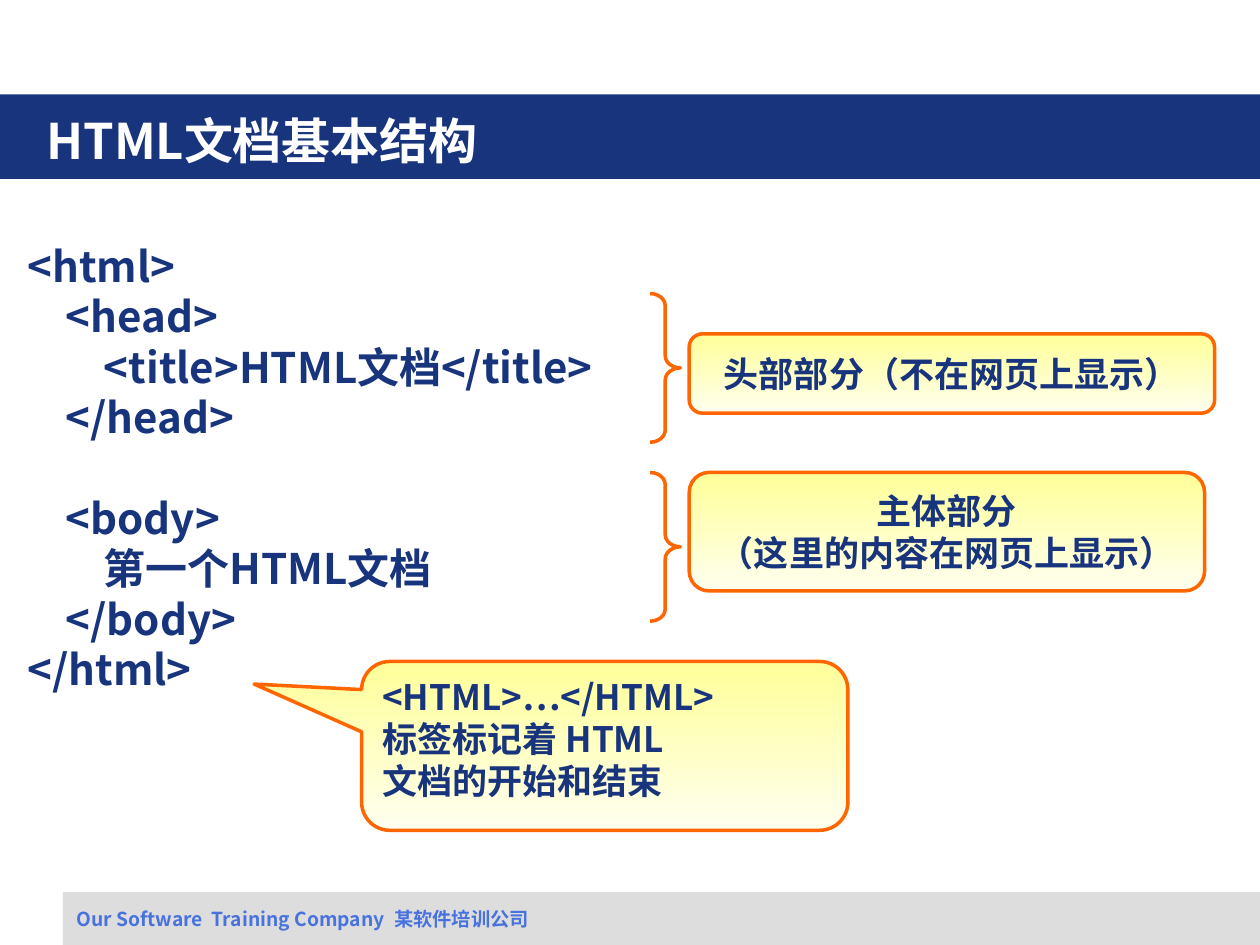
"""Build the slide on the basic structure of an HTML document."""
from dataclasses import dataclass

from lxml.etree import SubElement
from pptx import Presentation
from pptx.dml.color import RGBColor
from pptx.enum.shapes import MSO_SHAPE
from pptx.enum.text import MSO_ANCHOR, PP_ALIGN
from pptx.oxml.ns import qn
from pptx.util import Inches, Pt


@dataclass(frozen=True)
class Theme:
    navy: str = "17347D"
    white: str = "FFFFFF"
    grey: str = "DDDDDD"
    blue: str = "4872DD"
    orange: str = "FF6600"
    yellow: str = "FFFF99"
    cream: str = "FFFFEF"
    font: str = "Noto Sans CJK SC"
    label_font: str = "Arial"
    title_size: int = 28
    code_size: int = 24
    note_size: int = 20
    footer_size: int = 11
    outline: int = 2


THEME = Theme()
CODE = """<html>
    <head>
        <title>HTML文档</title>
    </head>
    <body>
        第一个HTML文档
    </body>
</html>"""


def rgb(value):
    return RGBColor.from_string(value)


def write(frame, text, size, color, font=THEME.font, align=PP_ALIGN.LEFT,
          anchor=MSO_ANCHOR.TOP, wrap=True):
    frame.text = text
    frame.word_wrap = wrap
    frame.vertical_anchor = anchor
    for paragraph in frame.paragraphs:
        paragraph.alignment = align
        for run in paragraph.runs:
            run.font.size = Pt(size)
            run.font.bold = True
            run.font.name = font
            run.font.color.rgb = rgb(color)
            east_asian = SubElement(run.font._element, qn("a:ea"))
            east_asian.set("typeface", THEME.font)


def add_text(slide, box, text, size, color, **layout):
    frame = slide.shapes.add_textbox(*map(Inches, box)).text_frame
    write(frame, text, size, color, **layout)
    return frame


def add_preset(slide, preset, box, adjustments=()):
    shape = slide.shapes.add_shape(preset, *map(Inches, box))
    shape.shadow.inherit = False
    for index, value in enumerate(adjustments):
        shape.adjustments[index] = value
    return shape


def add_band(slide, box, color):
    band = add_preset(slide, MSO_SHAPE.RECTANGLE, box)
    band.fill.solid()
    band.fill.fore_color.rgb = rgb(color)
    band.line.fill.background()


def set_outline(shape):
    shape.line.color.rgb = rgb(THEME.orange)
    shape.line.width = Pt(THEME.outline)


def add_brace(slide, top):
    brace = add_preset(slide, MSO_SHAPE.RIGHT_BRACE, (5.16, top, 0.24, 1.18), (0.4, 0.5))
    brace.fill.background()
    set_outline(brace)


def add_note(slide, preset, box, adjustments, text, **layout):
    note = add_preset(slide, preset, box, adjustments)
    note.fill.gradient()
    note.fill.gradient_angle = 270
    for stop, color, position in zip(note.fill.gradient_stops, (THEME.yellow, THEME.cream), (0, 1)):
        stop.color.rgb = rgb(color)
        stop.position = position
    set_outline(note)
    write(note.text_frame, text, THEME.note_size, THEME.navy, **layout)


def add_section(slide, top, box, text):
    add_brace(slide, top)
    add_note(slide, MSO_SHAPE.ROUNDED_RECTANGLE, box, (0.167,), text, font=THEME.label_font,
             align=PP_ALIGN.CENTER, anchor=MSO_ANCHOR.MIDDLE, wrap=False)


def main():
    deck = Presentation()
    deck.slide_width, deck.slide_height = Inches(10), Inches(7.5)
    slide = deck.slides.add_slide(deck.slide_layouts[6])

    add_band(slide, (0.5, 7.08, 9.5, 0.42), THEME.grey)
    add_band(slide, (0, 0.75, 10, 0.67), THEME.navy)
    add_text(slide, (0.27, 0.8, 8.26, 0.62), "HTML文档基本结构",
             THEME.title_size, THEME.white, anchor=MSO_ANCHOR.MIDDLE)
    add_text(slide, (0.51, 7.15, 9.13, 0.29), "Our Software  Training Company  某软件培训公司",
             THEME.footer_size, THEME.blue)

    code = add_text(slide, (0.12, 1.86, 9.29, 3.89), CODE, THEME.code_size, THEME.navy)
    body_tag = next(line for line in code.paragraphs if line.text.strip() == "<body>")
    body_tag.space_before = Pt(THEME.code_size * 1.2)

    add_note(slide, MSO_SHAPE.ROUNDED_RECTANGULAR_CALLOUT, (2.87, 5.25, 3.86, 1.34),
             (-0.721, -0.366, 0.167), "<HTML>…</HTML>\n标签标记着 HTML\n文档的开始和结束")
    add_section(slide, 2.33, (5.47, 2.65, 4.17, 0.63), "头部部分（不在网页上显示）")
    add_section(slide, 3.75, (5.47, 3.75, 4.09, 0.94), "主体部分\n（这里的内容在网页上显示）")
    deck.save("out.pptx")


if __name__ == "__main__":
    main()
